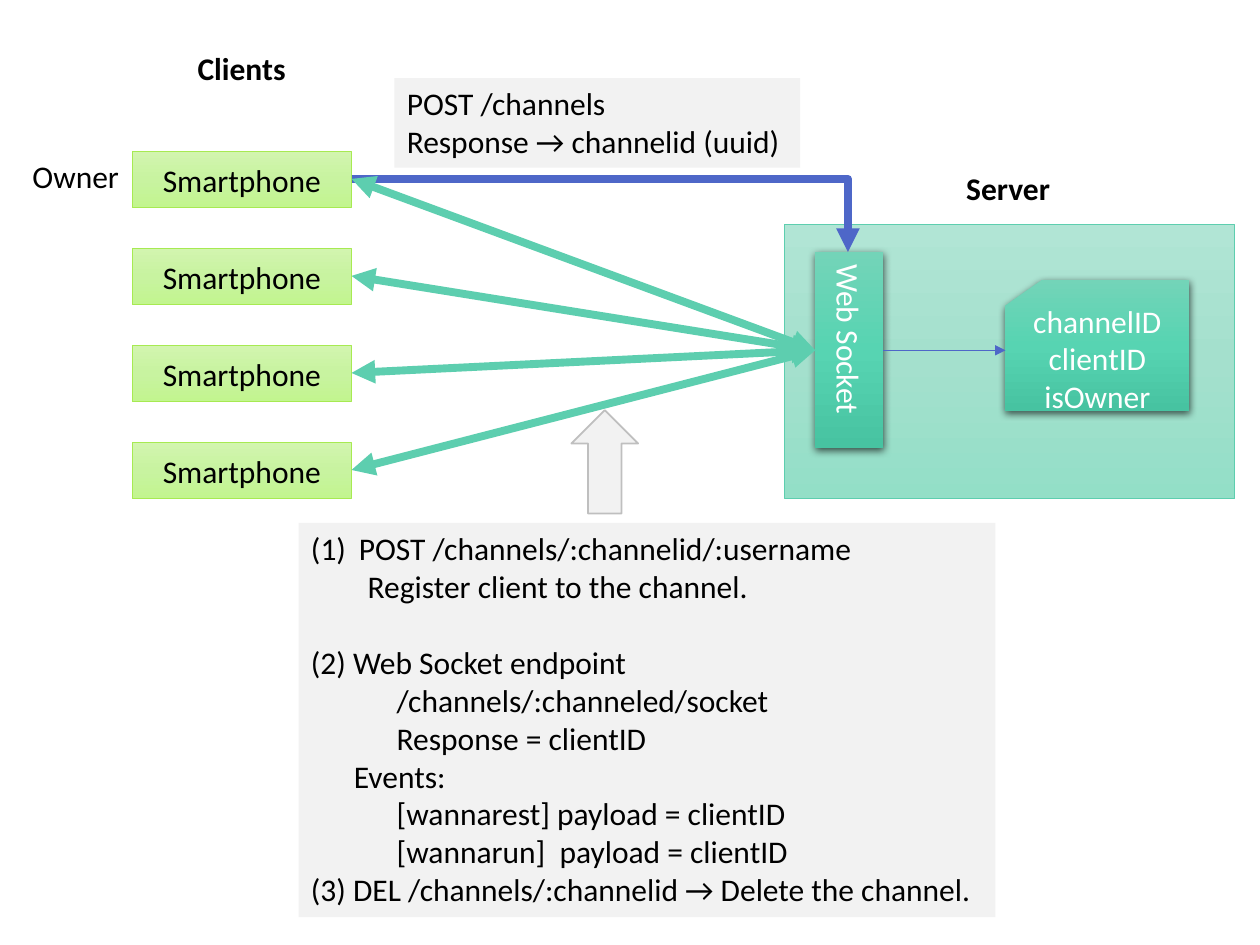
from lxml import etree
from copy import deepcopy
from pptx import Presentation
from pptx import util as u
from pptx.dml.color import RGBColor
from pptx.enum import shapes, text
from pptx.oxml import ns

BLACK = RGBColor(0, 0, 0)
WHITE = RGBColor(255, 255, 255)
PALE = RGBColor(0xF2, 0xF2, 0xF2)
GREY = RGBColor(0xBF, 0xBF, 0xBF)
BLUE = RGBColor(0x4E, 0x67, 0xC8)
TEAL = RGBColor(0x5D, 0xCE, 0xAF)
LIME = RGBColor(0xA7, 0xEA, 0x52)
LIME_FADE = [RGBColor.from_string(c) for c in ("D2F5AF", "C8F3A0", "C2F58F")]
MINT_FADE = [RGBColor.from_string(c) for c in ("B1E5D5", "A4E0CD", "93DFC7")]
TEAL_FADE = [RGBColor.from_string(c) for c in ("73D4B8", "57D4B2", "47C3A1")]
FORMS = shapes.MSO_SHAPE


def add_child(parent, tag, **attributes):
    return etree.SubElement(parent, ns.qn(tag), attributes)


def write(shape, lines, color=BLACK, bold=False, align=None):
    frame = shape.text_frame
    frame.text = "\n".join(lines)
    for para in frame.paragraphs:
        para.alignment = align
        for span in para.runs:
            span.font.name = "Calibri"
            span.font.size = u.Pt(18)
            span.font.bold = bold
            span.font.color.rgb = color
    return frame


def paint(shape, fill, line=None, width=0.5):
    shape.shadow.inherit = False
    if isinstance(fill, list):
        shape.fill.gradient()
        shape.fill.gradient_angle = 270
        stops = shape._element.spPr.find(".//" + ns.qn("a:gsLst"))
        stops.append(deepcopy(stops[0]))
        for index, (stop, color) in enumerate(zip(shape.fill.gradient_stops, fill)):
            stop.color.rgb = color
            stop.position = index / 2
    else:
        shape.fill.solid()
        shape.fill.fore_color.rgb = fill
    if line is None:
        shape.line.fill.background()
    else:
        shape.line.color.rgb = line
        shape.line.width = u.Pt(width)


def add_block(page, form, left, top, width, height, fill, line=None,
              lines=(), color=BLACK):
    block = page.shapes.add_shape(form, *map(u.Inches, (left, top, width, height)))
    paint(block, fill, line)
    if lines:
        frame = write(block, lines, color, align=text.PP_ALIGN.CENTER)
        frame.vertical_anchor = text.MSO_ANCHOR.MIDDLE
    return block


def cast_shadow(shape):
    effects = shape._element.spPr.find(ns.qn("a:effectLst"))
    shadow = add_child(effects, "a:outerShdw", blurRad="57150", dist="19050",
                       dir="5400000", algn="ctr", rotWithShape="0")
    color = add_child(shadow, "a:srgbClr", val="000000")
    add_child(color, "a:alpha", val="63000")


def add_text(page, left, top, width, height, lines, bold=False, fill=None):
    box = page.shapes.add_textbox(*map(u.Inches, (left, top, width, height)))
    if fill is not None:
        box.fill.solid()
        box.fill.fore_color.rgb = fill
    frame = write(box, lines, bold=bold)
    frame.word_wrap = False
    frame.auto_size = text.MSO_AUTO_SIZE.SHAPE_TO_FIT_TEXT
    return frame


def add_arrow(page, start, end, color, width, both=False, bent=False):
    arrow = page.shapes.add_connector(shapes.MSO_CONNECTOR.STRAIGHT,
                                      *map(u.Inches, start + end))
    arrow.line.color.rgb = color
    arrow.line.width = u.Pt(width)
    properties = arrow._element.spPr
    if bent:
        properties.find(ns.qn("a:prstGeom")).set("prst", "bentConnector2")
    line = properties.find(ns.qn("a:ln"))
    if both:
        add_child(line, "a:headEnd", type="triangle")
    add_child(line, "a:tailEnd", type="triangle")
    add_child(properties, "a:effectLst")


def draw_clients(page, left, top):
    add_text(page, left + 0.42, top - 0.86, 0.9, 0.4, ["Clients"], bold=True)
    add_text(page, left - 0.89, top, 0.9, 0.4, ["Owner"])
    ports = []
    for index in range(4):
        row = top + index * 0.77
        add_block(page, FORMS.RECTANGLE, left, row, 1.74, 0.45, LIME_FADE, LIME,
                  ["Smartphone"])
        ports.append((left + 1.74, row + 0.22))
    return ports


def draw_server(page, left, top):
    add_text(page, left + 1.34, top - 0.49, 0.87, 0.4, ["Server"], bold=True)
    add_block(page, FORMS.RECTANGLE, left, top, 3.57, 2.18, MINT_FADE, TEAL)
    socket = add_block(page, FORMS.RECTANGLE, left + 0.24, top + 0.22, 0.54, 1.56,
                       TEAL_FADE, lines=["Web Socket"], color=WHITE)
    socket.text_frame._txBody.bodyPr.set("vert", "eaVert")
    card = add_block(page, FORMS.FLOWCHART_CARD, left + 1.75, top + 0.44, 1.46, 1.04,
                     TEAL_FADE, lines=["channelID", "clientID", "isOwner"], color=WHITE)
    for shape in (socket, card):
        cast_shadow(shape)
    middle = top + 1
    add_arrow(page, (left + 0.78, middle), (left + 1.75, middle), BLUE, 0.5)
    return (left + 0.24, middle), (left + 0.5, top + 0.22)


def draw_links(page, ports, socket_side, socket_top):
    add_arrow(page, ports[0], socket_top, BLUE, 4.5, bent=True)
    for port in ports:
        add_arrow(page, port, socket_side, TEAL, 4.5, both=True)


def draw_protocol(page, left, top):
    entries = [
        ("POST /channels/:channelid/:username", 0.38),
        ("Register client to the channel.", 0.45),
        ("(2) Web Socket endpoint", 0),
        ("/channels/:channeled/socket", 0.68),
        ("Response = clientID", 0.68),
        ("Events:", 0.34),
        ("[wannarest] payload = clientID", 0.68),
        ("[wannarun]  payload = clientID", 0.68),
        ("(3) DEL /channels/:channelid → Delete the channel.", 0),
    ]
    frame = add_text(page, left, top, 5.53, 3.13, [entry for entry, _ in entries],
                     fill=PALE)
    for para, (_, indent) in zip(frame.paragraphs, entries):
        para._p.get_or_add_pPr().set("marL", str(u.Inches(indent)))
    first = frame.paragraphs[0]._p.get_or_add_pPr()
    first.set("indent", str(u.Inches(-0.38)))
    add_child(first, "a:buFont", typeface="+mj-lt")
    add_child(first, "a:buAutoNum", type="arabicParenBoth")
    frame.paragraphs[2].space_before = u.Pt(22)
    pointer = add_block(page, FORMS.RIGHT_ARROW, left + 2.02, top - 0.75, 0.82, 0.53,
                        PALE, GREY)
    pointer.line.width = u.Pt(1)
    pointer.rotation = 270


deck = Presentation()
deck.slide_width, deck.slide_height = u.Inches(10), u.Inches(7.5)
page = deck.slides.add_slide(deck.slide_layouts[6])
ports = draw_clients(page, 1.05, 1.2)
socket_side, socket_top = draw_server(page, 6.23, 1.78)
add_text(page, 3.13, 0.62, 3.22, 0.71,
         ["POST /channels", "Response → channelid (uuid)"], fill=PALE)
draw_links(page, ports, socket_side, socket_top)
draw_protocol(page, 2.37, 4.15)
deck.save("out.pptx")
